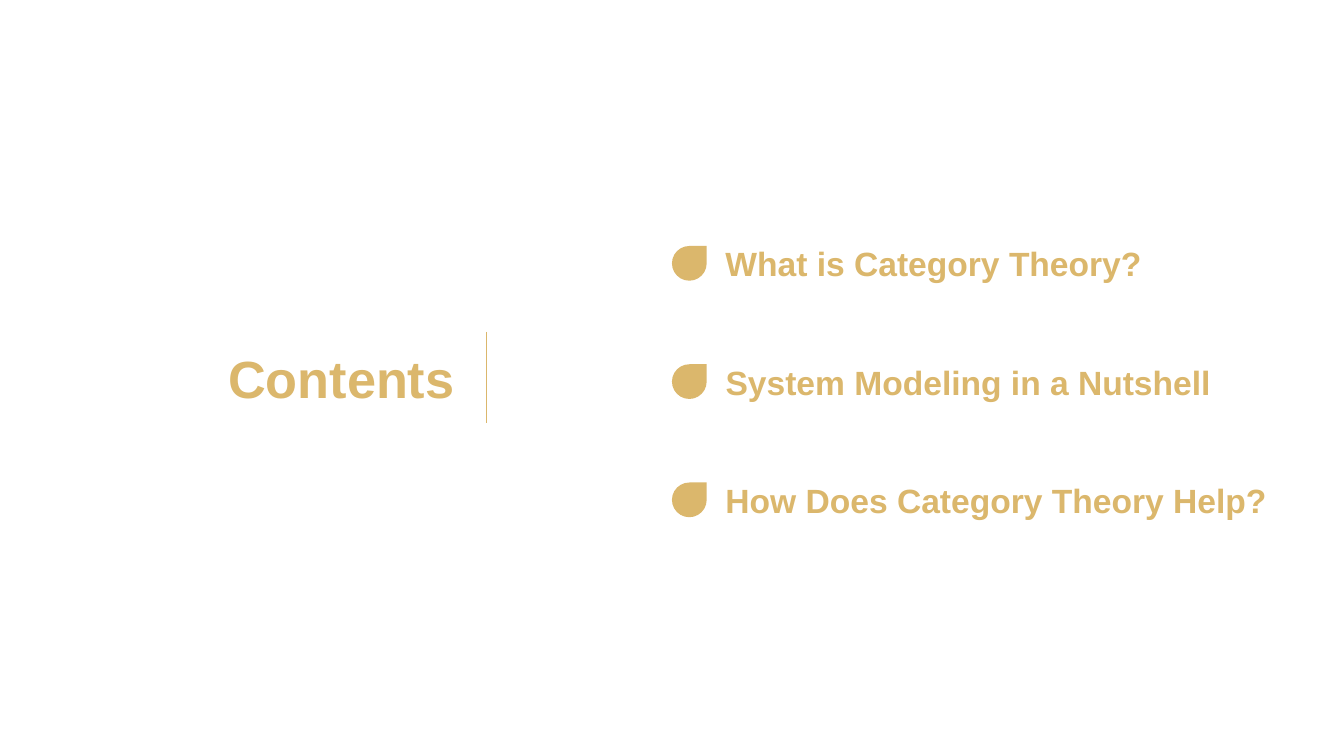
from lxml import etree
from pptx import Presentation
from pptx.dml.color import RGBColor
from pptx.enum import shapes, text
from pptx.oxml import ns
from pptx.util import Pt

GOLD = RGBColor(0xDB, 0xB7, 0x6C)
WHITE = RGBColor(0xFF, 0xFF, 0xFF)
TOPICS = [
    "What is Category Theory?",
    "System Modeling in a Nutshell",
    "How Does Category Theory Help?",
]
WIDTHS = [239.8, 277.2, 307.4]
TOP, STEP = 131.8, 63.36


class Deck:
    font = "Arial"
    color = GOLD

    def __init__(self, wide, high):
        self.prs = Presentation()
        self.prs.slide_width, self.prs.slide_height = Pt(wide), Pt(high)
        self.slide = self.prs.slides.add_slide(self.prs.slide_layouts[6])
        fill = self.slide.background.fill
        fill.solid()
        fill.fore_color.rgb = WHITE

    def label(self, words, left, top, wide, high, size):
        box = self.slide.shapes.add_textbox(Pt(left), Pt(top), Pt(wide), Pt(high))
        frame = box.text_frame
        frame.text = words
        frame.word_wrap = False
        frame.auto_size = text.MSO_AUTO_SIZE.SHAPE_TO_FIT_TEXT
        font = frame.paragraphs[0].runs[0].font
        font.name, font.size, font.bold = self.font, Pt(size), True
        font.color.rgb = self.color

    def drop(self, left, top, size):
        mark = self.slide.shapes.add_shape(
            shapes.MSO_SHAPE.TEAR, Pt(left), Pt(top), Pt(size), Pt(size))
        mark.shadow.inherit = False
        mark.fill.solid()
        mark.fill.fore_color.rgb = self.color
        mark.line.fill.background()

    def rule(self, left, top, end):
        line = self.slide.shapes.add_connector(
            shapes.MSO_CONNECTOR.STRAIGHT, Pt(left), Pt(top), Pt(left), Pt(end))
        line.line.color.rgb = self.color
        line.line.width = Pt(0.5)
        etree.SubElement(line._element.spPr, ns.qn("a:effectLst"))


def main():
    deck = Deck(720, 405)
    deck.label("Contents", 115.2, 182.2, 137.5, 41, 28)
    deck.rule(260.6, 177.8, 226.8)
    for row, (topic, wide) in enumerate(zip(TOPICS, WIDTHS)):
        top = TOP + row * STEP
        deck.drop(360, top, 18.6)
        deck.label(topic, 381.6, top - 5, wide, 28.8, 18)
    deck.prs.save("out.pptx")


if __name__ == "__main__":
    main()
